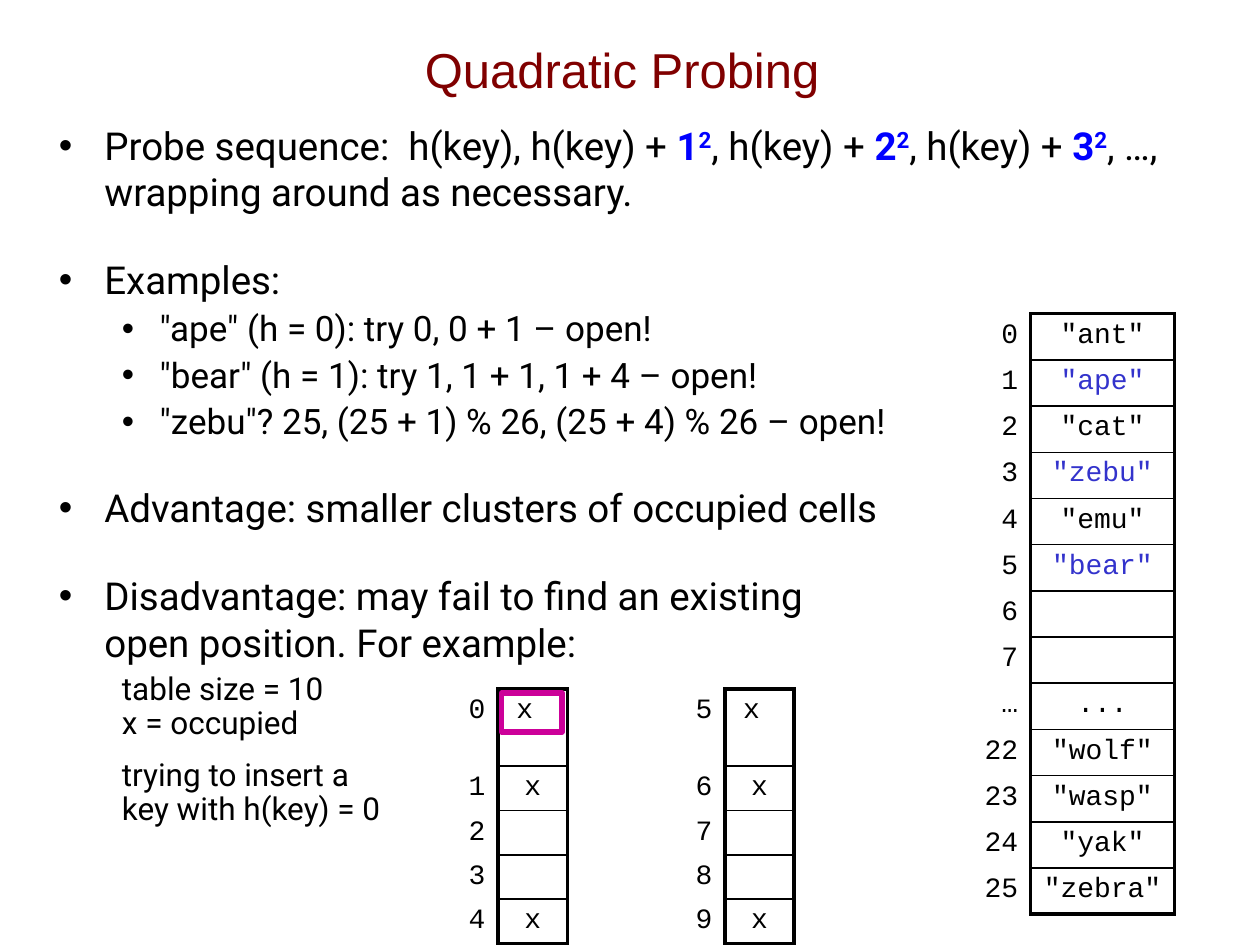
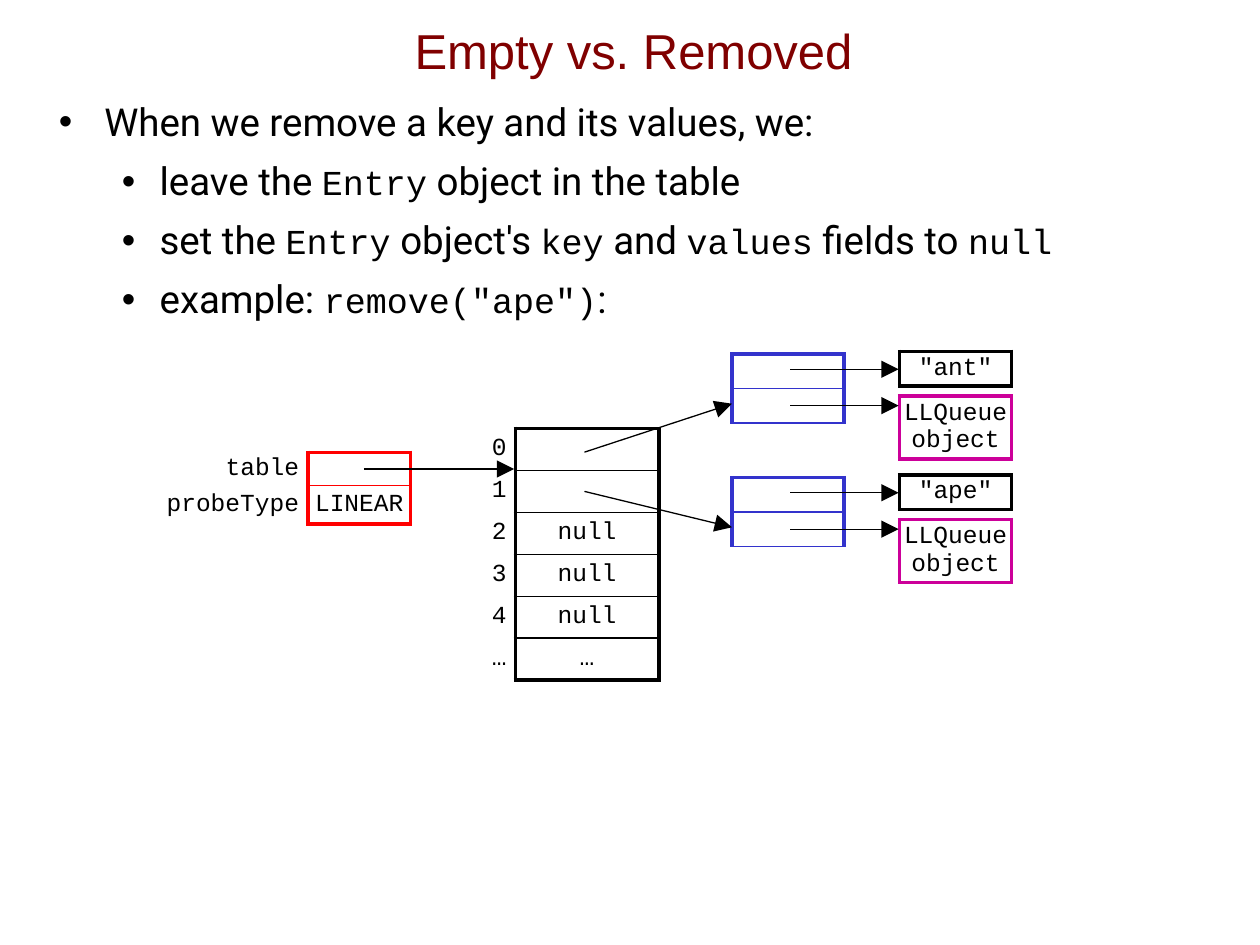
"""Builds two slides on hash tables: quadratic probing and removal."""
import pptx
import pptx.dml.color
import pptx.enum.shapes
import pptx.enum.text
import pptx.oxml.ns
import pptx.util
from lxml import etree

Pt = pptx.util.Pt
qn = pptx.oxml.ns.qn
ALIGN = pptx.enum.text.PP_ALIGN
ANCHOR = pptx.enum.text.MSO_ANCHOR
HUES = {"ink": "000000", "title": "800000", "power": "0000FF",
        "blue": "3333CC", "pink": "CC0099", "red": "FF0000"}
PLAIN = "{2D5ABB26-0587-4C30-8999-92F81FD0307C}"
MONO = "Courier New"
LARGE = {"size": 16, "side": 7.2, "gap": 7.2, "edge": 3.6,
         "anchor": ANCHOR.TOP}
SMALL = {"size": 14, "side": 0, "gap": 5, "edge": 0,
         "anchor": ANCHOR.MIDDLE}
KINDS = {"text": {},
         "power": {"bold": True},
         "code": {"name": MONO, "size": Pt(20)}}
ITEM = {"left": 26, "hang": 26, "size": 22, "bullet": True}
SUB = {"left": 57.6, "hang": 21.6, "size": 20, "bullet": True}
NOTE = {**SUB, "size": 18, "bullet": False}


def apply(item, values):
    """Set each named value on an object."""
    for name, value in values.items():
        setattr(item, name, value)


def tint(hue):
    """Return a named colour."""
    return pptx.dml.color.RGBColor.from_string(HUES[hue])


def write(para, text, hue, values):
    """Add a run of text, with line breaks, to a paragraph."""
    for count, line in enumerate(text.split("\n")):
        if count:
            para.add_line_break()
        run = para.add_run()
        run.text = line
        apply(run.font, values)
        run.font.color.rgb = tint(hue)
    return run


def head(slide, box, text):
    """Place and format the slide title."""
    title = slide.shapes.title
    apply(title, dict(zip(("left", "top", "width", "height"), map(Pt, box))))
    frame = title.text_frame
    apply(frame, {"word_wrap": True, "vertical_anchor": ANCHOR.MIDDLE,
                  "auto_size": pptx.enum.text.MSO_AUTO_SIZE.NONE})
    para = frame.paragraphs[0]
    para.alignment = ALIGN.CENTER
    write(para, text, "title", {"name": "Arial", "size": Pt(28)})


def body(slide, box, items):
    """Write a list of (level, space before, line spacing, pieces)."""
    frame = slide.shapes.add_textbox(*map(Pt, box)).text_frame
    frame.word_wrap = True
    for count, (level, before, pitch, pieces) in enumerate(items):
        para = frame.add_paragraph() if count else frame.paragraphs[0]
        props = para._p.get_or_add_pPr()
        props.set("marL", str(Pt(level["left"])))
        props.set("indent", str(-Pt(level["hang"])))
        if level["bullet"]:
            etree.SubElement(props, qn("a:buFont"), typeface="Arial")
            etree.SubElement(props, qn("a:buChar"), char="•")
        apply(para, {"line_spacing": pitch, "space_before": Pt(before)})
        for piece in pieces:
            text, kind = (piece, "text") if isinstance(piece, str) else piece
            base, *lift = text.split("^")
            hue = "power" if kind == "power" else "ink"
            values = {"name": "Roboto", "size": Pt(level["size"]),
                      **KINDS[kind]}
            write(para, base, hue, values)
            for mark in lift:
                run = write(para, mark, hue, values)
                run._r.get_or_add_rPr().set("baseline", "30000")


def border(cell, sides, hue):
    """Draw cell borders from a dict of side and width."""
    props = cell._tc.get_or_add_tcPr()
    for side in "LRTB":
        if side in sides:
            line = etree.SubElement(props, qn("a:ln" + side),
                                    w=str(Pt(sides[side])))
            fill = etree.SubElement(line, qn("a:solidFill"))
            etree.SubElement(fill, qn("a:srgbClr"), val=HUES[hue])


def grid(slide, spot, cols, highs, rows, look, hue="ink", base=2.25, new=()):
    """Add a table whose boxed column may have labels to its left."""
    frame = slide.shapes.add_table(len(highs), len(cols), *map(
        Pt, (*spot, sum(cols), sum(highs))))
    table = frame.table
    frame._element.find(".//" + qn("a:tableStyleId")).text = PLAIN
    apply(table, {"first_row": False, "horz_banding": False})
    for col, width in zip(table.columns, cols):
        col.width = Pt(width)
    for row, high in zip(table.rows, highs):
        row.height = Pt(high)
    boxed = min(1, len(cols) - 1)
    last = len(highs) - 1
    for y, texts in enumerate(rows):
        for x in range(len(cols)):
            cell = table.cell(y, x)
            if x == boxed:
                sides = {"L": 2.25, "R": 2.25, "T": 1 if y else 2.25,
                         "B": base if y == last else 1}
            else:
                sides = {"R" if x < boxed else "L": 2.25}
            border(cell, sides, hue)
            cell.fill.background()
            right = look["gap"] if x < boxed else look["side"]
            apply(cell, {"margin_left": Pt(look["side"]),
                         "margin_right": Pt(right),
                         "margin_top": Pt(look["edge"]),
                         "margin_bottom": Pt(look["edge"]),
                         "vertical_anchor": look["anchor"]})
            para = cell.text_frame.paragraphs[0]
            para.alignment = ALIGN.RIGHT if x < boxed else ALIGN.CENTER
            text = texts[x] if x < len(texts) else ""
            if text:
                write(para, text, "blue" if text in new else "ink",
                      {"name": MONO, "size": Pt(look["size"])})
            else:
                mark = etree.SubElement(para._p, qn("a:endParaRPr"),
                                        sz=str(look["size"] * 100))
                etree.SubElement(mark, qn("a:latin"), typeface=MONO)
    return table


def arrow(slide, *ends):
    """Draw a thin straight arrow."""
    line = slide.shapes.add_connector(
        pptx.enum.shapes.MSO_CONNECTOR.STRAIGHT, *map(Pt, ends))
    line.line.width = Pt(0.75)
    line.line.color.rgb = tint("ink")
    etree.SubElement(line.line._get_or_add_ln(), qn("a:tailEnd"),
                     type="triangle", w="lg", len="lg")
    etree.SubElement(line._element.spPr, qn("a:effectLst"))


def half(slide, left, top, first, used):
    """Add five cells of the small table, marking the used ones."""
    rows = [(str(first + y), "x" if y in used else "") for y in range(5)]
    table = grid(slide, (left, top), (106, 39.6, 66),
                 (44, 25.3, 25.3, 25.3, 25.3), rows, LARGE)
    table.cell(0, 1).margin_right = Pt(16.4)


def ring(slide, left, top):
    """Outline the cell that is probed first."""
    shape = slide.shapes.add_shape(pptx.enum.shapes.MSO_SHAPE.RECTANGLE,
                                   *map(Pt, (left, top, 34.6, 22.3)))
    shape.shadow.inherit = False
    shape.fill.background()
    shape.line.color.rgb = tint("pink")
    shape.line.width = Pt(3)


def entry(slide, left, top, key, slot):
    """Draw an entry, its two targets and the arrow from its slot."""
    grid(slide, (left, top), (64,), (19.7, 19.7), [(), ()], SMALL, "blue", 1)
    grid(slide, (left + 95.8, top - 1.5), (64,), (19.7,), [(key,)], SMALL)
    grid(slide, (left + 95.8, top + 24), (64,), (36,),
         [("LLQueue\nobject",)], SMALL, "pink")
    for drop in (8.7, 29.5):
        arrow(slide, left + 33.2, top + drop, left + 95.2, top + drop)
    arrow(slide, *slot, left, top + 28.4)


def probe(slide):
    """Build the slide on quadratic probing."""
    head(slide, (46, 6, 619, 67), "Quadratic Probing")
    for left, first in ((178.6, 0), (308.2, 5)):
        half(slide, left, 393.8, first, (0, 1, 4))
    ring(slide, 286.6, 396)
    names = ["ant", "ape", "cat", "zebu", "emu", "bear", "", "", "...",
             "wolf", "wasp", "yak", "zebra"]
    marks = [*map(str, range(8)), "…", *map(str, range(22, 26))]
    rows = [(mark, f'"{name}"' if name.isalpha() else name)
            for mark, name in zip(marks, names)]
    grid(slide, (506.2, 179.3), (82.8, 82), [26.4] * 13, rows, LARGE,
         new=('"ape"', '"zebu"', '"bear"'))
    step = ", h(key) + "
    body(slide, (26.6, 66.2, 685.4, 442), [
        (ITEM, 0, 1.0, ["Probe sequence:  h(key)" + step, ("1^2", "power"),
                        step, ("2^2", "power"), step, ("3^2", "power"),
                        ", …,\nwrapping around as necessary."]),
        (ITEM, 24, 1.0, ["Examples:"]),
        (SUB, 5, 0.9, ['"ape" (h = 0): try 0, 0 + 1 – open!']),
        (SUB, 5, 0.9, ['"bear" (h = 1): try 1, 1 + 1, 1 + 4 – open!']),
        (SUB, 5, 0.9,
         ['"zebu"? 25, (25 + 1) % 26, (25 + 4) % 26 – open!']),
        (ITEM, 24, 1.0, ["Advantage: smaller clusters of occupied cells"]),
        (ITEM, 24, 1.0, ["Disadvantage: may fail to find an existing\n"
                         "open position. For example:"]),
        (NOTE, 5, 0.9, ["table size = 10"]),
        (NOTE, 0, 0.9, ["x = occupied"]),
        (NOTE, 10, 0.9, ["trying to insert a"]),
        (NOTE, 0, 0.9, ["key with h(key) = 0"])])


def remove(slide):
    """Build the slide on empty and removed cells."""
    head(slide, (20, -5, 684, 67), "Empty vs. Removed")
    sub = {**SUB, "size": 22}
    body(slide, (26.6, 55.4, 668, 442), [
        (ITEM, 0, 0.9, ["When we remove a key and its values, we:"]),
        (sub, 10, 0.9, ["leave the ", ("Entry", "code"),
                        " object in the table"]),
        (sub, 10, 0.9, ["set the ", ("Entry", "code"), " object's ",
                        ("key", "code"), " and ", ("values", "code"),
                        " fields to ", ("null", "code")]),
        (sub, 10, 0.9, ["example: ", ('remove("ape")', "code"), ":"])])
    grid(slide, (211.7, 244.8), (82.8, 82), [24] * 6,
         [("0",), ("1",), ("2", "null"), ("3", "null"), ("4", "null"),
          ("…", "…")], SMALL)
    grid(slide, (77.8, 258.5), (98.2, 58.6), (19, 22),
         [("table",), ("probeType", "LINEAR")], SMALL, "red")
    arrow(slide, 208, 268, 293.8, 268)
    entry(slide, 418.3, 202.3, '"ant"', (334, 258.4))
    entry(slide, 418.3, 272.9, '"ape"', (334, 280.8))


def main():
    """Build and save the slides."""
    deck = pptx.Presentation()
    apply(deck, {"slide_width": Pt(720), "slide_height": Pt(540)})
    for build in (probe, remove):
        build(deck.slides.add_slide(deck.slide_layouts[5]))
    deck.save("out.pptx")


if __name__ == "__main__":
    main()
